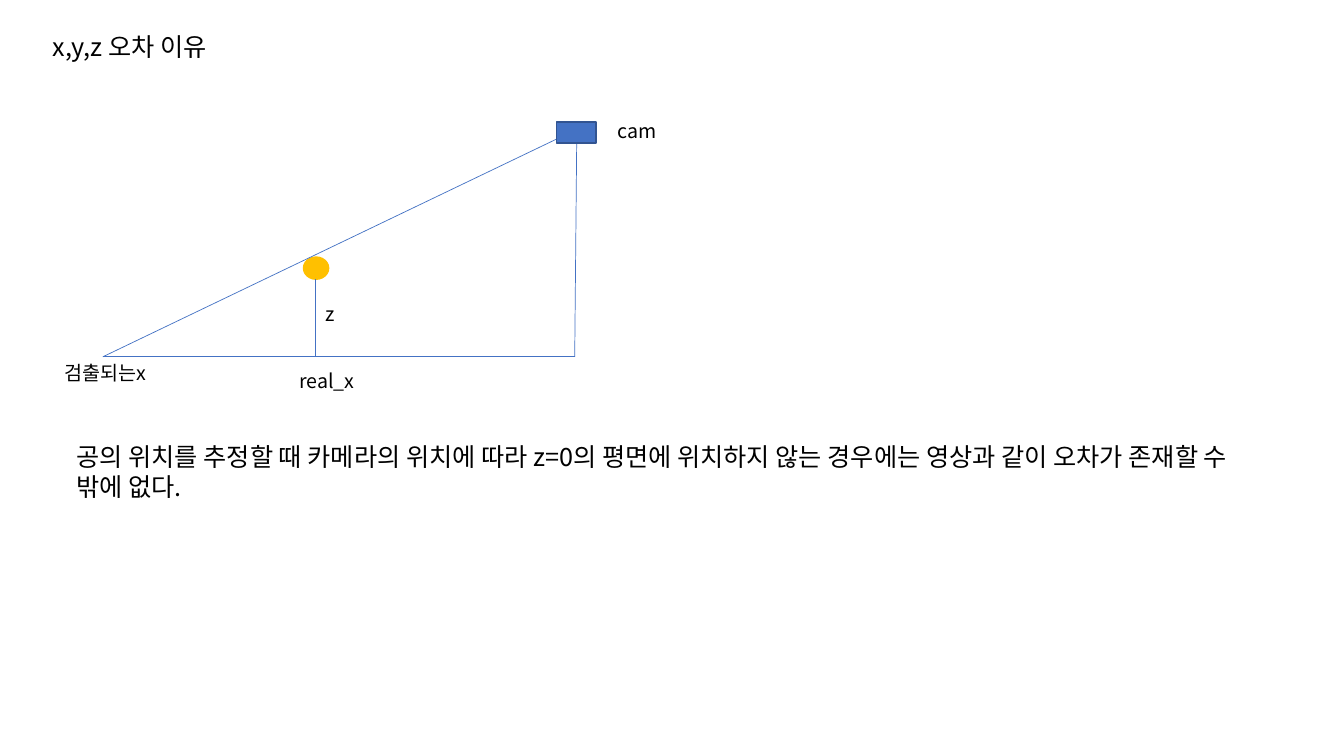
from dataclasses import dataclass

from lxml.etree import SubElement
from pptx import Presentation
from pptx.dml.color import RGBColor
from pptx.enum.shapes import MSO_CONNECTOR, MSO_SHAPE
from pptx.enum.text import MSO_ANCHOR, MSO_AUTO_SIZE, PP_ALIGN
from pptx.oxml.ns import qn
from pptx.shapes.autoshape import Shape
from pptx.slide import Slide
from pptx.util import Inches, Pt

FONT = "Noto Sans CJK KR"
BLACK = RGBColor(0x00, 0x00, 0x00)
BLUE = RGBColor(0x44, 0x72, 0xC4)
NAVY = RGBColor(0x32, 0x54, 0x91)
GOLD = RGBColor(0xFF, 0xC0, 0x00)
FLOOR = 3.54


@dataclass
class Box:
    left: float
    top: float
    width: float
    height: float

    def size(self) -> list[Inches]:
        return [Inches(v) for v in (self.left, self.top, self.width, self.height)]


@dataclass
class Label:
    text: str
    box: Box
    points: int = 14


@dataclass
class Solid:
    kind: MSO_SHAPE
    box: Box
    fill: RGBColor
    edge: RGBColor


@dataclass
class Line:
    start: tuple[float, float]
    end: tuple[float, float]


TITLE = Label("x,y,z 오차 이유", Box(0.42, 0.26, 4.21, 0.4), 18)
LABELS = [
    Label("cam", Box(6.03, 1.13, 1, 0.34)),
    Label("real_x", Box(2.87, 3.61, 1, 0.34)),
    Label("검출되는x", Box(0.54, 3.53, 1.27, 0.34)),
    Label(
        "공의 위치를 추정할 때 카메라의 위치에 따라 z=0의 평면에 위치하지 않는 "
        "경우에는 영상과 같이 오차가 존재할 수 밖에 없다.",
        Box(0.66, 4.33, 11.77, 0.71),
        18,
    ),
    Label("z", Box(3.13, 2.95, 1, 0.34)),
]
BALL = Solid(MSO_SHAPE.OVAL, Box(3.01, 2.55, 0.25, 0.22), GOLD, GOLD)
CAM = Solid(MSO_SHAPE.RECTANGLE, Box(5.52, 1.21, 0.39, 0.21), BLUE, NAVY)
LINES = [
    Line((3.13, 2.77), (3.13, FLOOR)),
    Line((1.02, FLOOR), (5.52, 1.38)),
    Line((1.03, FLOOR), (5.7, FLOOR)),
    Line((5.72, 1.42), (5.7, FLOOR)),
]


def write(shape: Shape, label: Label) -> None:
    shape.left, shape.top, shape.width, shape.height = label.box.size()
    frame = shape.text_frame
    frame.text = label.text
    frame.word_wrap = True
    frame.auto_size = MSO_AUTO_SIZE.SHAPE_TO_FIT_TEXT
    frame.vertical_anchor = MSO_ANCHOR.TOP
    para = frame.paragraphs[0]
    para.alignment = PP_ALIGN.LEFT
    font = para.font
    font.size = Pt(label.points)
    font.color.rgb = BLACK
    font.name = FONT
    SubElement(font._rPr, qn("a:ea"), typeface=FONT)


def draw_solid(slide: Slide, solid: Solid) -> None:
    shape = slide.shapes.add_shape(solid.kind, *solid.box.size())
    shape.shadow.inherit = False
    shape.fill.solid()
    shape.fill.fore_color.rgb = solid.fill
    shape.line.color.rgb = solid.edge
    shape.line.width = Pt(1)


def draw_line(slide: Slide, line: Line) -> None:
    ends = [Inches(v) for v in line.start + line.end]
    wire = slide.shapes.add_connector(MSO_CONNECTOR.STRAIGHT, *ends)
    wire.line.color.rgb = BLUE
    wire.line.width = Pt(0.5)
    SubElement(wire._element.spPr, qn("a:effectLst"))


def main() -> None:
    deck = Presentation()
    deck.slide_width, deck.slide_height = Inches(13.33), Inches(7.5)
    slide = deck.slides.add_slide(deck.slide_layouts[5])
    write(slide.shapes.title, TITLE)
    draw_solid(slide, BALL)
    for line in LINES:
        draw_line(slide, line)
    draw_solid(slide, CAM)
    for label in LABELS:
        write(slide.shapes.add_textbox(*label.box.size()), label)
    deck.save("out.pptx")


if __name__ == "__main__":
    main()
